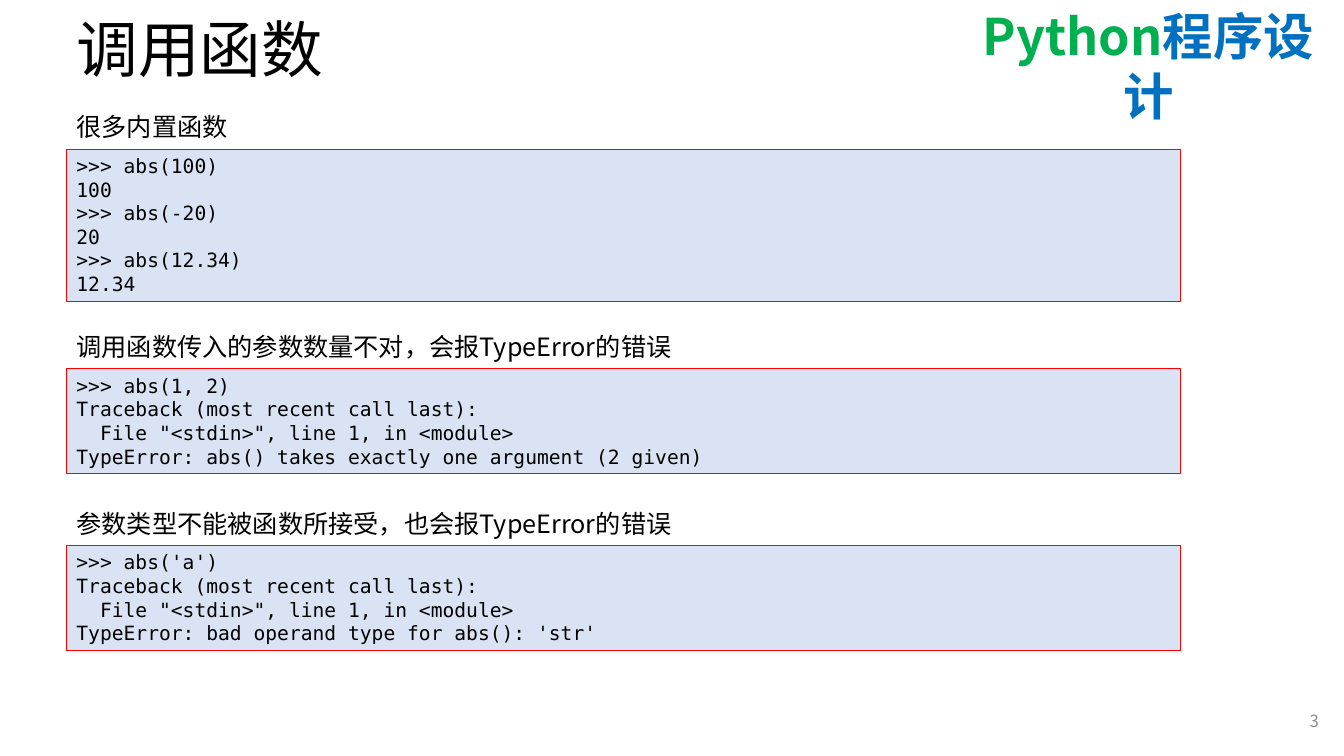
from lxml import etree
from pptx import Presentation
from pptx.dml.color import RGBColor
from pptx.enum.shapes import MSO_SHAPE
from pptx.enum.text import MSO_ANCHOR, MSO_AUTO_SIZE, PP_ALIGN
from pptx.oxml.ns import qn
from pptx.util import Inches, Pt

LEFT, MID, RIGHT = PP_ALIGN.LEFT, PP_ALIGN.CENTER, PP_ALIGN.RIGHT
TOP, CENTER = MSO_ANCHOR.TOP, MSO_ANCHOR.MIDDLE
RECT, FIXED = MSO_SHAPE.RECTANGLE, MSO_AUTO_SIZE.NONE
WIDE, HIGH = Inches(13.33), Inches(7.5)
SANS, MONO = "Noto Sans CJK SC", "DejaVu Sans Mono"
EDGE = 4.95
LABEL = {"name": SANS, "size": Pt(18)}
CODE = {"name": MONO, "size": Pt(14)}
BRAND = {"name": SANS, "size": Pt(36), "bold": True}
HEAD = {"name": "Arial", "size": Pt(44)}
PAGE = {"name": SANS, "size": Pt(12)}
PARTS = [
    (14.13, "很多内置函数",
     [">>> abs(100)", "100", ">>> abs(-20)", "20", ">>> abs(12.34)", "12.34"]),
    (43.2, "调用函数传入的参数数量不对，会报TypeError的错误",
     [">>> abs(1, 2)", "Traceback (most recent call last):",
      '  File "<stdin>", line 1, in <module>',
      "TypeError: abs() takes exactly one argument (2 given)"]),
    (66.55, "参数类型不能被函数所接受，也会报TypeError的错误",
     [">>> abs('a')", "Traceback (most recent call last):",
      '  File "<stdin>", line 1, in <module>',
      "TypeError: bad operand type for abs(): 'str'"]),
]


def tint(code):
    """Turn a hex string into a colour."""
    return RGBColor.from_string(code)


def area(x, y, w, h):
    """Turn percentages of the slide into left, top, width and height."""
    return [int(part * full / 100)
            for part, full in zip((x, y, w, h), (WIDE, HIGH, WIDE, HIGH))]


def write(shape, lines, look, align=LEFT, anchor=TOP):
    """Fill a shape with lines, each a list of (text, colour) runs."""
    frame = shape.text_frame
    frame.word_wrap = True
    frame.auto_size = FIXED
    frame.vertical_anchor = anchor
    for index, line in enumerate(lines):
        para = frame.add_paragraph() if index else frame.paragraphs[0]
        para.alignment = align
        for text, color in line:
            run = para.add_run()
            run.text = text
            for key, value in look.items():
                setattr(run.font, key, value)
            run.font.color.rgb = tint(color)
            east = etree.SubElement(run.font._element, qn("a:ea"))
            east.set("typeface", SANS)


def label(slide, box, runs, look, align=LEFT, anchor=TOP):
    """Add a text box with one paragraph."""
    shape = slide.shapes.add_textbox(*area(*box))
    write(shape, [runs], look, align, anchor)


def block(slide, top, lines):
    """Add a code panel as tall as its lines."""
    tall = 1.33 + 3.13 * len(lines)
    shape = slide.shapes.add_shape(RECT, *area(EDGE, top, 82.9, tall))
    shape.shadow.inherit = False
    shape.fill.solid()
    shape.fill.fore_color.rgb = tint("DAE3F3")
    shape.line.color.rgb = tint("FF0000")
    shape.line.width = Pt(0.75)
    write(shape, [[(line, "000000")] for line in lines], CODE)


def title(slide, text):
    """Place and format the slide title."""
    shape = slide.shapes.title
    shape.left, shape.top, shape.width, shape.height = area(EDGE, 0, 86.27, 14)
    write(shape, [[(text, "000000")]], HEAD, LEFT, CENTER)
    shape.text_frame.paragraphs[0].line_spacing = 0.9


def main():
    """Build and save the slide."""
    deck = Presentation()
    deck.slide_width, deck.slide_height = WIDE, HIGH
    slide = deck.slides.add_slide(deck.slide_layouts[5])
    label(slide, (71.04, 0, 28.81, 9.47),
          [("Python", "00B050"), ("程序设计", "0070C0")], BRAND, MID)
    title(slide, "调用函数")
    label(slide, (76.37, 92.67, 22.5, 5.33), [("3", "8C8C8C")], PAGE, RIGHT, CENTER)
    for top, text, lines in PARTS:
        block(slide, top + 5.6, lines)
        label(slide, (EDGE, top, 90.77, 5.33), [(text, "000000")], LABEL)
    deck.save("out.pptx")


if __name__ == "__main__":
    main()
